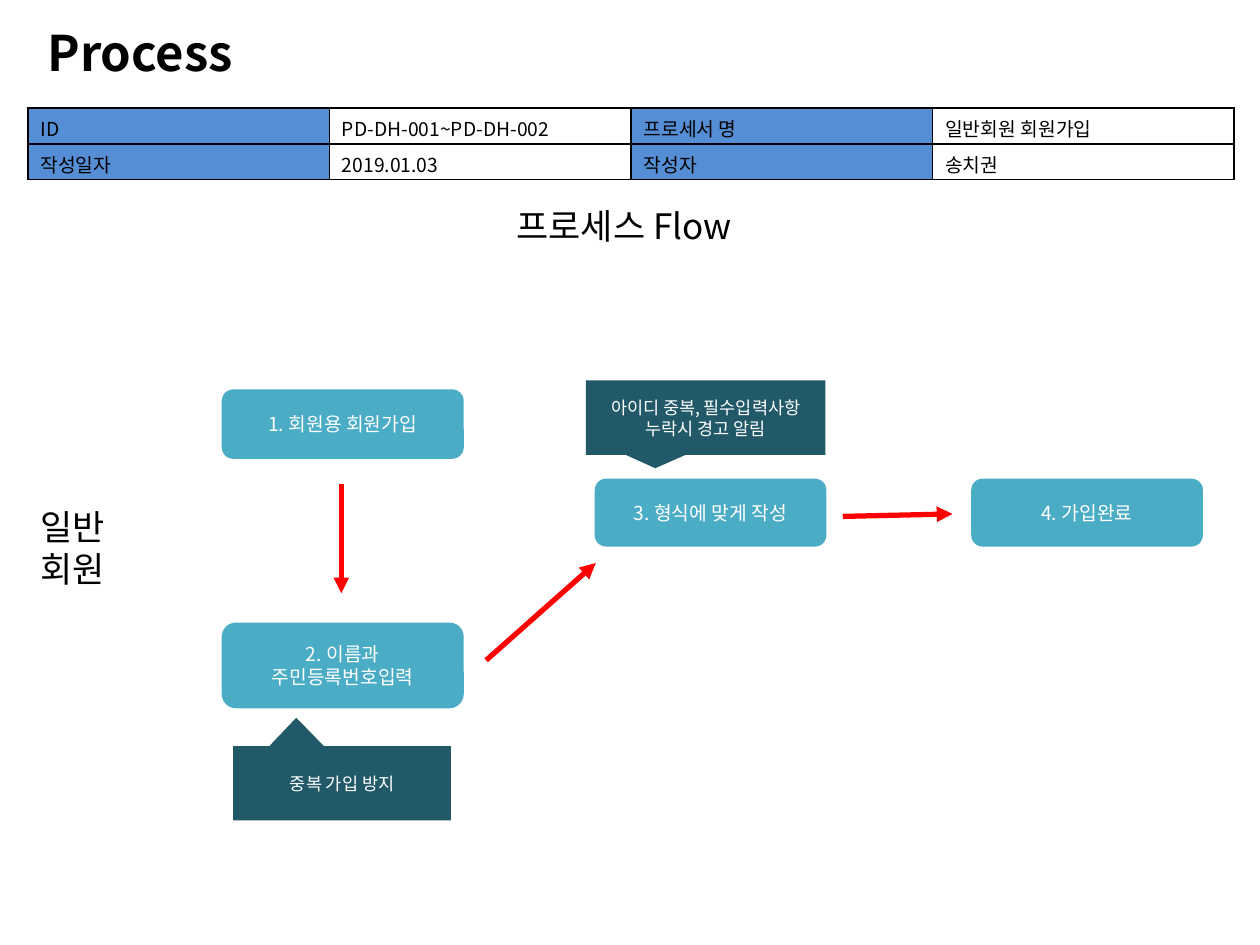
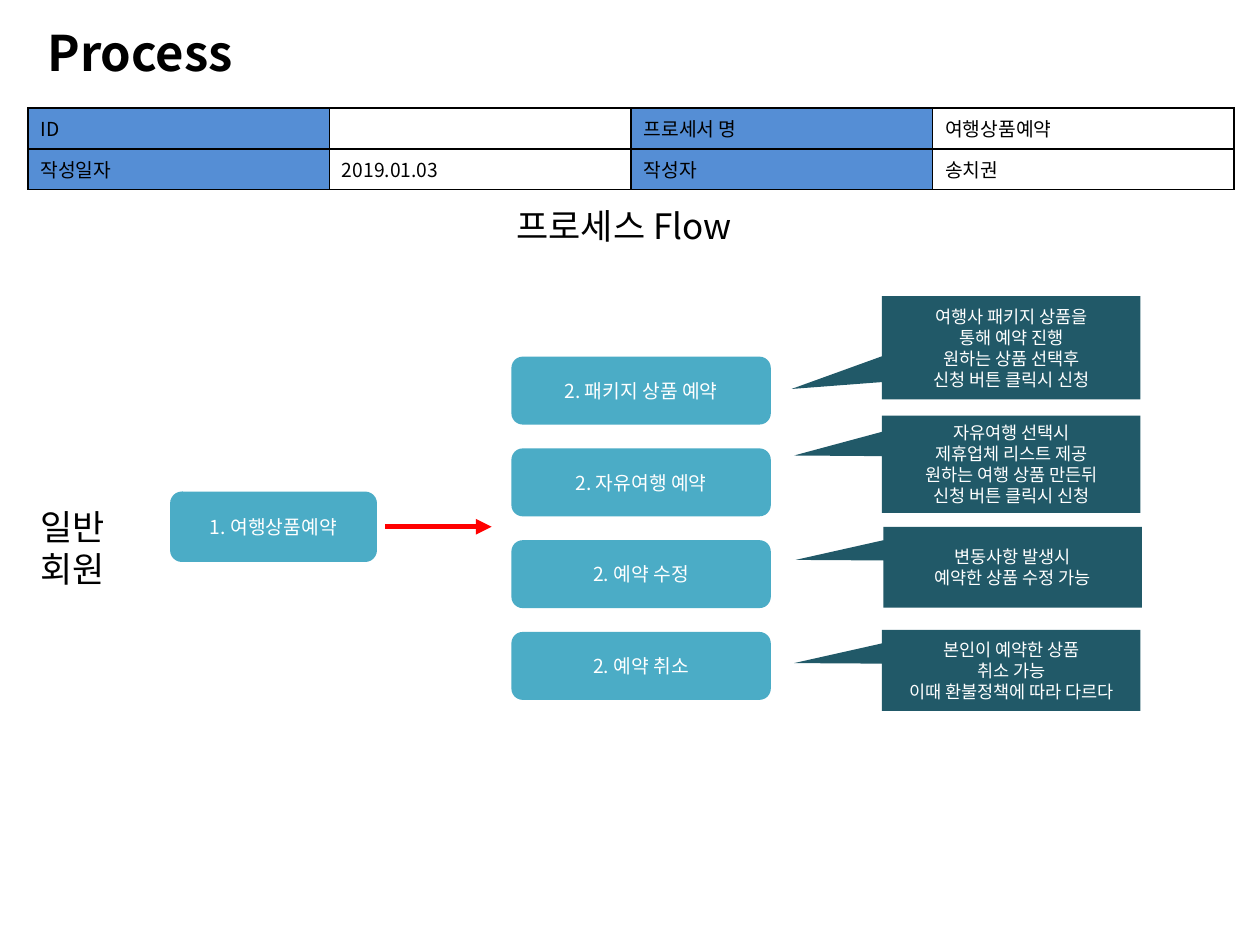
from dataclasses import dataclass

from lxml import etree
from pptx import Presentation
from pptx.dml.color import RGBColor
from pptx.enum.shapes import MSO_CONNECTOR, MSO_SHAPE
from pptx.enum.text import MSO_ANCHOR, MSO_AUTO_SIZE, PP_ALIGN
from pptx.oxml.ns import qn
from pptx.slide import Slide
from pptx.util import Cm, Pt

ROUND = MSO_SHAPE.ROUNDED_RECTANGLE
WEDGE = MSO_SHAPE.RECTANGULAR_CALLOUT
STRAIGHT = MSO_CONNECTOR.STRAIGHT
MIDDLE = MSO_ANCHOR.MIDDLE
GROW = MSO_AUTO_SIZE.SHAPE_TO_FIT_TEXT
LEFT, CENTER = PP_ALIGN.LEFT, PP_ALIGN.CENTER

FONT = "Noto Sans CJK KR"
BLACK, WHITE, RED = "000000", "FFFFFF", "FF0000"
BLUE, TEAL, DARK = "558ED5", "4BACC6", "215968"
COL = 6.08


@dataclass
class Box:
    """Lengths are in centimetres."""
    left: float
    top: float
    width: float
    height: float

    def area(self) -> tuple:
        return Cm(self.left), Cm(self.top), Cm(self.width), Cm(self.height)


@dataclass
class Step:
    box: Box
    text: str


@dataclass
class Note:
    """A callout; its tip is an offset from the centre, as a share of the size."""
    box: Box
    tip: tuple[float, float]
    text: str


@dataclass
class Arrow:
    start: tuple[float, float]
    end: tuple[float, float]


@dataclass
class Page:
    code: str
    name: str
    row: float
    steps: list[Step]
    notes: list[Note]
    arrows: list[Arrow]


def color(code: str) -> RGBColor:
    return RGBColor.from_string(code)


def write(frame, text: str, size: float, tone: str,
          align=LEFT, bold: bool = False) -> None:
    """Put each line of the text in a paragraph of its own."""
    frame.word_wrap = True
    for i, line in enumerate(text.split("\n")):
        para = frame.paragraphs[0] if i == 0 else frame.add_paragraph()
        para.alignment = align
        if not line:
            etree.SubElement(para._p, qn("a:endParaRPr"), sz=str(int(size * 100)))
            continue
        run = para.add_run()
        run.text = line
        font = run.font
        font.size, font.bold, font.name = Pt(size), bold, FONT
        font.color.rgb = color(tone)
        etree.SubElement(run._r.get_or_add_rPr(), qn("a:ea"), typeface=FONT)


def label(slide: Slide, box: Box, text: str, size: float,
          bold: bool = False) -> None:
    frame = slide.shapes.add_textbox(*box.area()).text_frame
    write(frame, text, size, BLACK, bold=bold)
    frame.auto_size = GROW


def block(slide: Slide, kind, box: Box, fill: str, text: str, size: float):
    shape = slide.shapes.add_shape(kind, *box.area())
    shape.shadow.inherit = False
    shape.fill.solid()
    shape.fill.fore_color.rgb = color(fill)
    shape.line.fill.background()
    shape.text_frame.vertical_anchor = MIDDLE
    write(shape.text_frame, text, size, WHITE, CENTER)
    return shape


def draw_note(slide: Slide, note: Note) -> None:
    shape = block(slide, WEDGE, note.box, DARK, note.text, 10)
    shape.adjustments[0], shape.adjustments[1] = note.tip


def draw_arrow(slide: Slide, arrow: Arrow) -> None:
    ends = [Cm(v) for v in (*arrow.start, *arrow.end)]
    link = slide.shapes.add_connector(STRAIGHT, *ends)
    link.line.width = Pt(3)
    link.line.color.rgb = color(RED)
    etree.SubElement(link.line._get_or_add_ln(), qn("a:tailEnd"), type="triangle")
    etree.SubElement(link._element.spPr, qn("a:effectLst"))


def border(cell) -> None:
    props = cell._tc.get_or_add_tcPr()
    for side in ("lnL", "lnR", "lnT", "lnB"):
        line = etree.SubElement(props, qn(f"a:{side}"), w=str(Pt(1)))
        fill = etree.SubElement(line, qn("a:solidFill"))
        etree.SubElement(fill, qn("a:srgbClr"), val=BLACK)


def draw_table(slide: Slide, page: Page) -> None:
    rows = [("ID", page.code, "프로세서 명", page.name),
            ("작성일자", "2019.01.03", "작성자", "송치권")]
    area = Box(0.56, 2.18, 4 * COL, 2 * page.row).area()
    table = slide.shapes.add_table(2, 4, *area).table
    table.first_row = table.horz_banding = False
    for r, row in enumerate(rows):
        table.rows[r].height = Cm(page.row)
        for c, text in enumerate(row):
            table.columns[c].width = Cm(COL)
            cell = table.cell(r, c)
            border(cell)
            cell.fill.solid()
            cell.fill.fore_color.rgb = color(WHITE if c % 2 else BLUE)
            write(cell.text_frame, text, 11, BLACK)


def draw_page(deck, page: Page) -> None:
    slide = deck.slides.add_slide(deck.slide_layouts[6])
    label(slide, Box(0.71, 0.33, 22.81, 1.45), "Process", 28, bold=True)
    draw_table(slide, page)
    label(slide, Box(10.16, 3.99, 5.11, 1.12), "프로세스 Flow", 20)
    label(slide, Box(0.56, 10.06, 1.93, 1.96), "일반\n회원", 20)
    for step in page.steps:
        block(slide, ROUND, step.box, TEAL, step.text, 11)
    for arrow in page.arrows:
        draw_arrow(slide, arrow)
    for note in page.notes:
        draw_note(slide, note)


JOIN = Page(
    "PD-DH-001~PD-DH-002", "일반회원 회원가입", 0.72,
    steps=[
        Step(Box(4.47, 7.85, 4.88, 1.4), "1. 회원용 회원가입"),
        Step(Box(4.47, 12.55, 4.88, 1.73), "2. 이름과 주민등록번호입력"),
        Step(Box(11.99, 9.65, 4.67, 1.37), "3. 형식에 맞게 작성"),
        Step(Box(19.58, 9.65, 4.67, 1.37), "4. 가입완료"),
    ],
    notes=[
        Note(Box(4.7, 15.04, 4.39, 1.5), (-0.21, -0.88), "중복 가입 방지"),
        Note(Box(11.81, 7.67, 4.83, 1.5), (-0.21, 0.68),
             "아이디 중복, 필수입력사항\n누락시 경고 알림"),
    ],
    arrows=[
        Arrow((6.88, 9.75), (6.88, 11.96)),
        Arrow((9.8, 13.31), (12.01, 11.35)),
        Arrow((16.99, 10.41), (19.2, 10.36)),
    ],
)

CHOICES = ["패키지 상품 예약", "자유여행 예약", "예약 수정", "예약 취소"]

BOOK = Page(
    "", "여행상품예약", 0.82,
    steps=[Step(Box(3.43, 9.91, 4.17, 1.42), "1. 여행상품예약")] + [
        Step(Box(10.31, 7.19 + 1.85 * i, 5.23, 1.37), f"2. {choice}")
        for i, choice in enumerate(CHOICES)
    ],
    notes=[
        Note(Box(17.78, 5.97, 5.21, 2.08), (-0.85, 0.4),
             "여행사 패키지 상품을\n통해 예약 진행\n"
             "원하는 상품 선택후\n신청 버튼 클릭시 신청"),
        Note(Box(17.78, 8.38, 5.21, 1.96), (-0.84, -0.09),
             "자유여행 선택시\n제휴업체 리스트 제공\n"
             "원하는 여행 상품 만든뒤\n신청 버튼 클릭시 신청"),
        Note(Box(17.81, 10.62, 5.21, 1.63), (-0.84, -0.09),
             "변동사항 발생시\n예약한 상품 수정 가능"),
        Note(Box(17.78, 12.7, 5.21, 1.63), (-0.84, -0.09),
             "본인이 예약한 상품\n취소 가능\n이때 환불정책에 따라 다르다"),
    ],
    arrows=[Arrow((7.77, 10.62), (9.91, 10.62))],
)


def main() -> None:
    deck = Presentation()
    deck.slide_width, deck.slide_height = Cm(25.4), Cm(19.05)
    for page in (JOIN, BOOK):
        draw_page(deck, page)
    deck.save("out.pptx")


if __name__ == "__main__":
    main()
